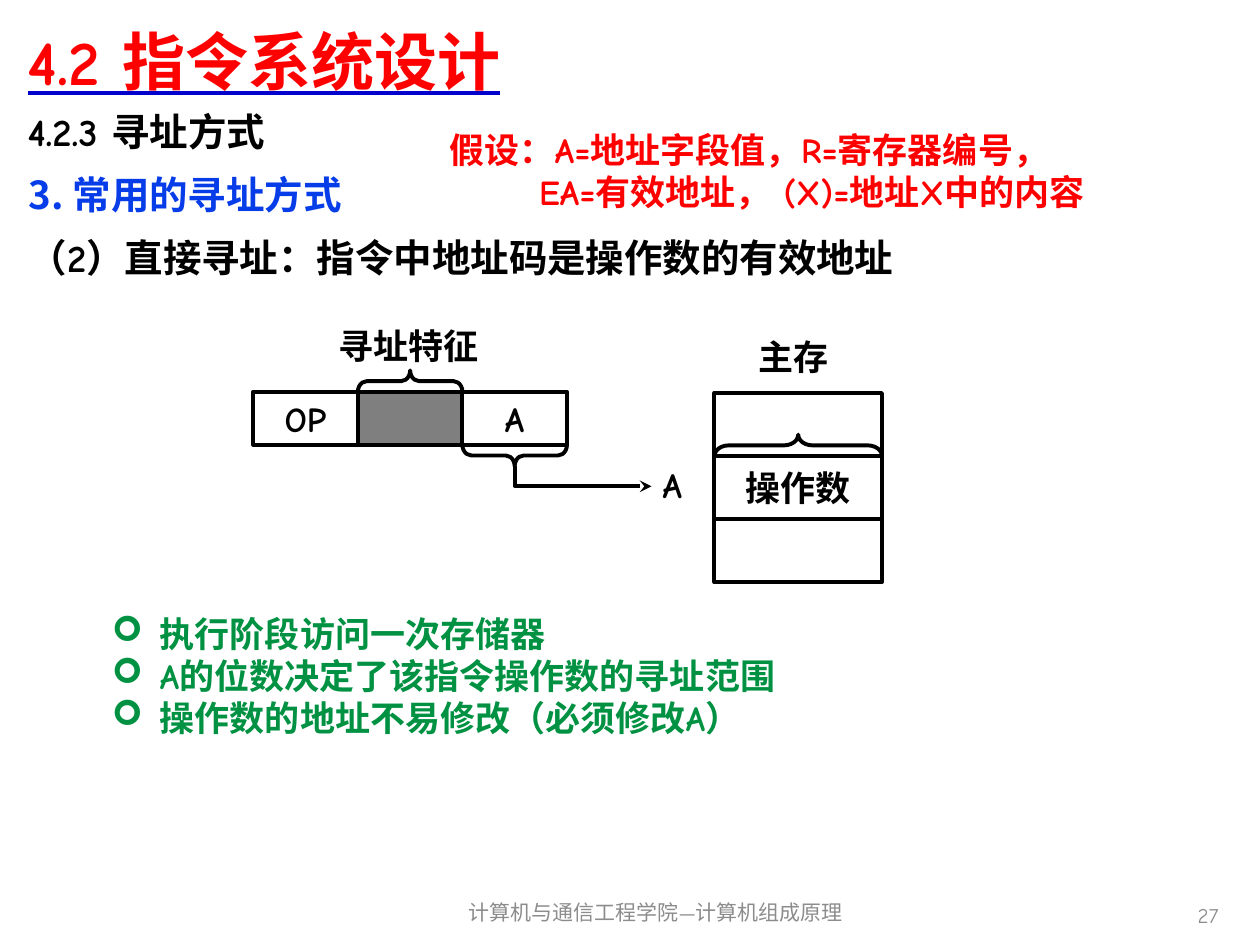
from dataclasses import dataclass
from typing import Optional

import pptx
import pptx.dml.color
import pptx.enum.shapes
import pptx.enum.text
import pptx.oxml
import pptx.oxml.ns
import pptx.util

Inches = pptx.util.Inches
Pt = pptx.util.Pt
Shape = pptx.enum.shapes.MSO_SHAPE
Align = pptx.enum.text.PP_ALIGN
Anchor = pptx.enum.text.MSO_ANCHOR
qn = pptx.oxml.ns.qn

COLORS = {"black": "000000", "red": "FF0000", "blue": "063DE8",
          "underline": "0000CC", "green": "009242", "gray": "8C8C8C"}
COMIC = "Comic Neue"
NOTO = "Noto Sans CJK SC"
LINE_WIDTH = 2.25
BRACE_DEPTH = 0.17


@dataclass
class Label:
    lines: tuple[str, ...]
    left: float
    top: float
    width: float
    height: float
    size: float = 20
    color: str = "black"
    font: str = COMIC
    bold: bool = True
    underline: bool = False
    align: Align = Align.LEFT
    anchor: Anchor = Anchor.TOP
    wrap: bool = True
    bullet: Optional[str] = None
    indents: tuple[float, ...] = ()
    margins: tuple[float, float] = (0.1, 0.05)


@dataclass
class Cell:
    left: float
    top: float
    width: float
    height: float
    text: str = ""
    shaded: bool = False


@dataclass
class Brace:
    center_x: float
    center_y: float
    span: float
    rotation: int
    curve: float


def rgb(name: str) -> pptx.dml.color.RGBColor:
    return pptx.dml.color.RGBColor.from_string(COLORS[name])


def xml(tag: str, attributes: str = "", inner: str = ""):
    return pptx.oxml.parse_xml(
        f'<a:{tag} {pptx.oxml.ns.nsdecls("a")} {attributes}>{inner}</a:{tag}>')


def write(tf, label: Label) -> None:
    x, y = (Inches(m) for m in label.margins)
    frame = {"margin_left": x, "margin_right": x, "margin_top": y,
             "margin_bottom": y, "word_wrap": label.wrap,
             "vertical_anchor": label.anchor}
    for name, value in frame.items():
        setattr(tf, name, value)
    for i, line in enumerate(label.lines):
        p = tf.paragraphs[0] if i == 0 else tf.add_paragraph()
        p.alignment = label.align
        pPr = p._p.get_or_add_pPr()
        if label.indents:
            pPr.set("marL", str(Inches(label.indents[i])))
        if label.bullet:
            pPr.set("indent", str(-Inches(label.indents[i])))
            pPr.append(xml("buFont", 'typeface="Wingdings"'))
            pPr.append(xml("buChar", f'char="{label.bullet}"'))
        r = p.add_run()
        r.text = line
        font = {"size": Pt(label.size), "bold": label.bold,
                "underline": label.underline, "name": label.font}
        for name, value in font.items():
            setattr(r.font, name, value)
        r.font.color.rgb = rgb(label.color)
        rPr = r.font._element
        rPr.set("lang", "zh-CN")
        latin = rPr.find(qn("a:latin"))
        latin.addnext(xml("ea", f'typeface="{label.font}"'))
        if label.underline:
            fill = f'<a:solidFill><a:srgbClr val="{COLORS["underline"]}"/></a:solidFill>'
            latin.addprevious(xml("uFill", inner=fill))


def add_label(s, label: Label) -> None:
    sp = s.shapes.add_textbox(*map(Inches, (label.left, label.top, label.width, label.height)))
    write(sp.text_frame, label)


def outline(sp) -> None:
    sp.shadow.inherit = False
    sp.fill.background()
    sp.line.color.rgb = rgb("black")
    sp.line.width = Pt(LINE_WIDTH)


def add_cell(s, cell: Cell) -> None:
    box = (cell.left, cell.top, cell.width, cell.height)
    sp = s.shapes.add_shape(Shape.RECTANGLE, *map(Inches, box))
    outline(sp)
    if cell.shaded:
        sp.fill.solid()
        sp.fill.fore_color.rgb = rgb("black")
        color = sp._element.spPr.find(qn("a:solidFill")).find(qn("a:srgbClr"))
        color.append(xml("alpha", 'val="50000"'))
    if cell.text:
        write(sp.text_frame, Label((cell.text,), *box, align=Align.CENTER,
                                   anchor=Anchor.MIDDLE, wrap=False))


def add_brace(s, brace: Brace) -> None:
    sp = s.shapes.add_shape(
        Shape.LEFT_BRACE, Inches(brace.center_x - BRACE_DEPTH / 2),
        Inches(brace.center_y - brace.span / 2), Inches(BRACE_DEPTH), Inches(brace.span))
    outline(sp)
    sp.rotation = brace.rotation
    sp.adjustments[0] = brace.curve
    sp.adjustments[1] = 0.5


def add_arrow(s, points: list[tuple[float, float]]) -> None:
    start, *rest = [(Inches(x), Inches(y)) for x, y in points]
    builder = s.shapes.build_freeform(*start)
    builder.add_line_segments(rest, close=False)
    sp = builder.convert_to_shape()
    outline(sp)
    sp.line._get_or_add_ln().append(xml("tailEnd", 'type="stealth"'))


FIELD_LEFT, FIELD_TOP, FIELD_W, FIELD_H = 2.01, 3.11, 0.83, 0.42
MEMORY_LEFT, MEMORY_TOP, MEMORY_W, MEMORY_H = 5.67, 3.12, 1.33, 0.5

LABELS = [
    Label(("4.2 指令系统设计",), 0.12, 0.05, 9.69, 0.85, size=36, color="red",
          underline=True, anchor=Anchor.MIDDLE),
    Label(("4.2.3 寻址方式",), 0.12, 0.81, 9.69, 0.57, size=22),
    Label(("计算机与通信工程学院—计算机组成原理",), 3.35, 7.04, 3.71, 0.4, size=12,
          color="gray", bold=False, align=Align.CENTER, anchor=Anchor.MIDDLE),
    Label(("27",), 7.44, 7.06, 2.33, 0.4, size=12, color="gray", bold=False,
          align=Align.RIGHT, anchor=Anchor.MIDDLE),
    Label(("3. 常用的寻址方式",), 0.13, 1.31, 9.69, 0.55, size=22, color="blue", font=NOTO),
    Label(("（2）直接寻址：指令中地址码是操作数的有效地址",), 0.13, 1.81, 9.53, 0.47, size=22),
    Label(("执行阶段访问一次存储器", "A的位数决定了该指令操作数的寻址范围",
           "操作数的地址不易修改（必须修改A）"), 0.79, 4.81, 5.68, 1.45,
          color="green", bullet="➢", indents=(0.38,) * 3),
    Label(("主存",), 5.92, 2.61, 0.76, 0.43, wrap=False),
    Label(("寻址特征",), 2.59, 2.53, 1.32, 0.43, wrap=False),
    Label(("A",), 5.16, 3.63, 0.41, 0.44, wrap=False),
    Label(("假设：A=地址字段值，R=寄存器编号，", "EA=有效地址， (X)=地址X中的内容"),
          3.5, 0.99, 6.16, 0.73, color="red", indents=(0, 0.71), margins=(0.07, 0.03)),
]
CELLS = [Cell(FIELD_LEFT + i * FIELD_W, FIELD_TOP, FIELD_W, FIELD_H, text, not text)
         for i, text in enumerate(("OP", "", "A"))]
CELLS += [Cell(MEMORY_LEFT, MEMORY_TOP + i * MEMORY_H, MEMORY_W, MEMORY_H, text)
          for i, text in enumerate(("", "操作数", ""))]
BRACES = [
    Brace(FIELD_LEFT + 1.5 * FIELD_W, FIELD_TOP - BRACE_DEPTH / 2, FIELD_W, 90, 0.417),
    Brace(FIELD_LEFT + 2.5 * FIELD_W, FIELD_TOP + FIELD_H + BRACE_DEPTH / 2,
          FIELD_W, 270, 0.417),
    Brace(MEMORY_LEFT + MEMORY_W / 2, MEMORY_TOP + MEMORY_H - BRACE_DEPTH / 2,
          MEMORY_W, 90, 0.667),
]


def main() -> None:
    prs = pptx.Presentation()
    prs.slide_width, prs.slide_height = Inches(10), Inches(7.5)
    s = prs.slides.add_slide(prs.slide_layouts[6])
    for cell in CELLS:
        add_cell(s, cell)
    for brace in BRACES:
        add_brace(s, brace)
    add_arrow(s, [(4.09, 3.7), (4.09, 3.86), (5.17, 3.86)])
    for label in LABELS:
        add_label(s, label)
    prs.save("out.pptx")


if __name__ == "__main__":
    main()
